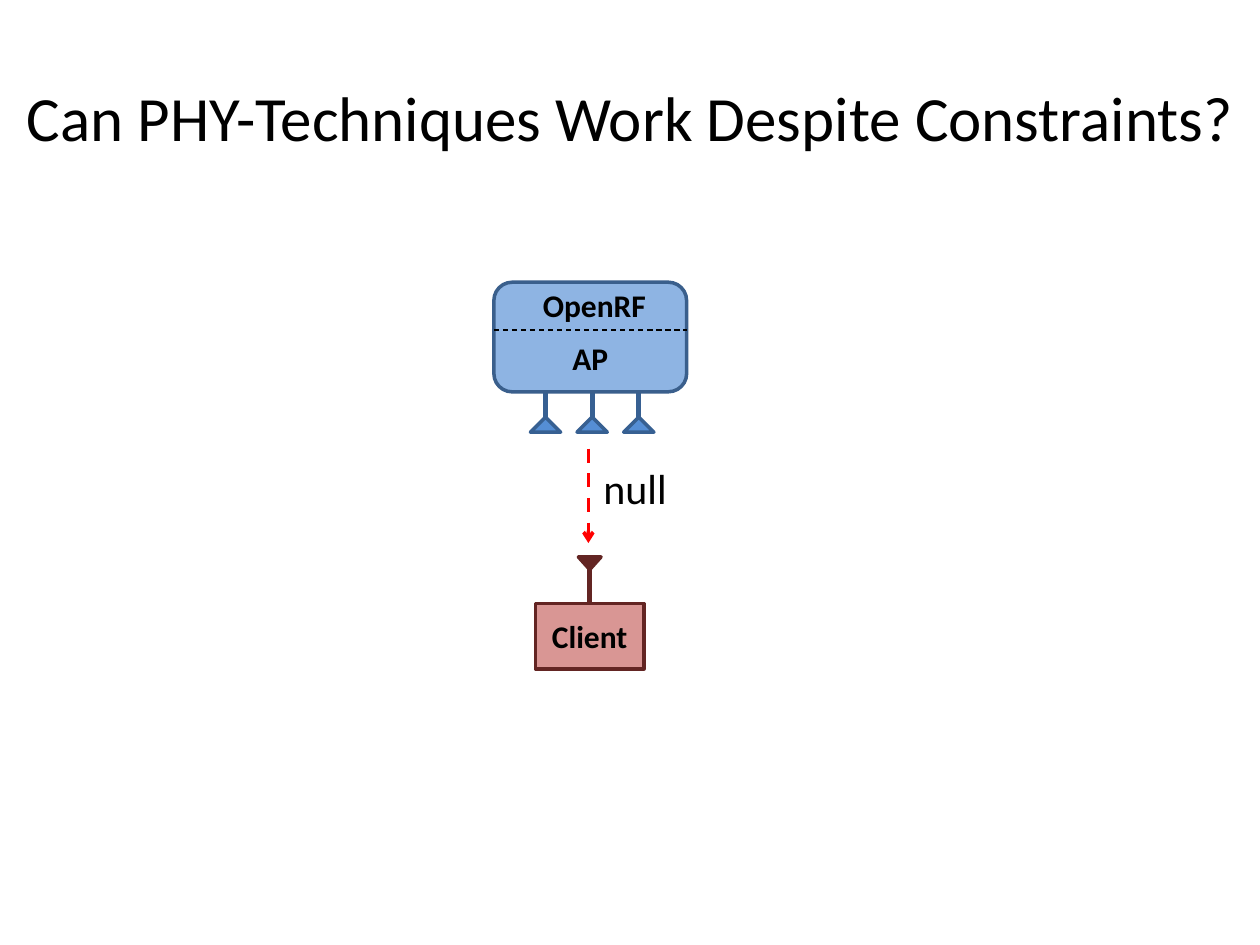
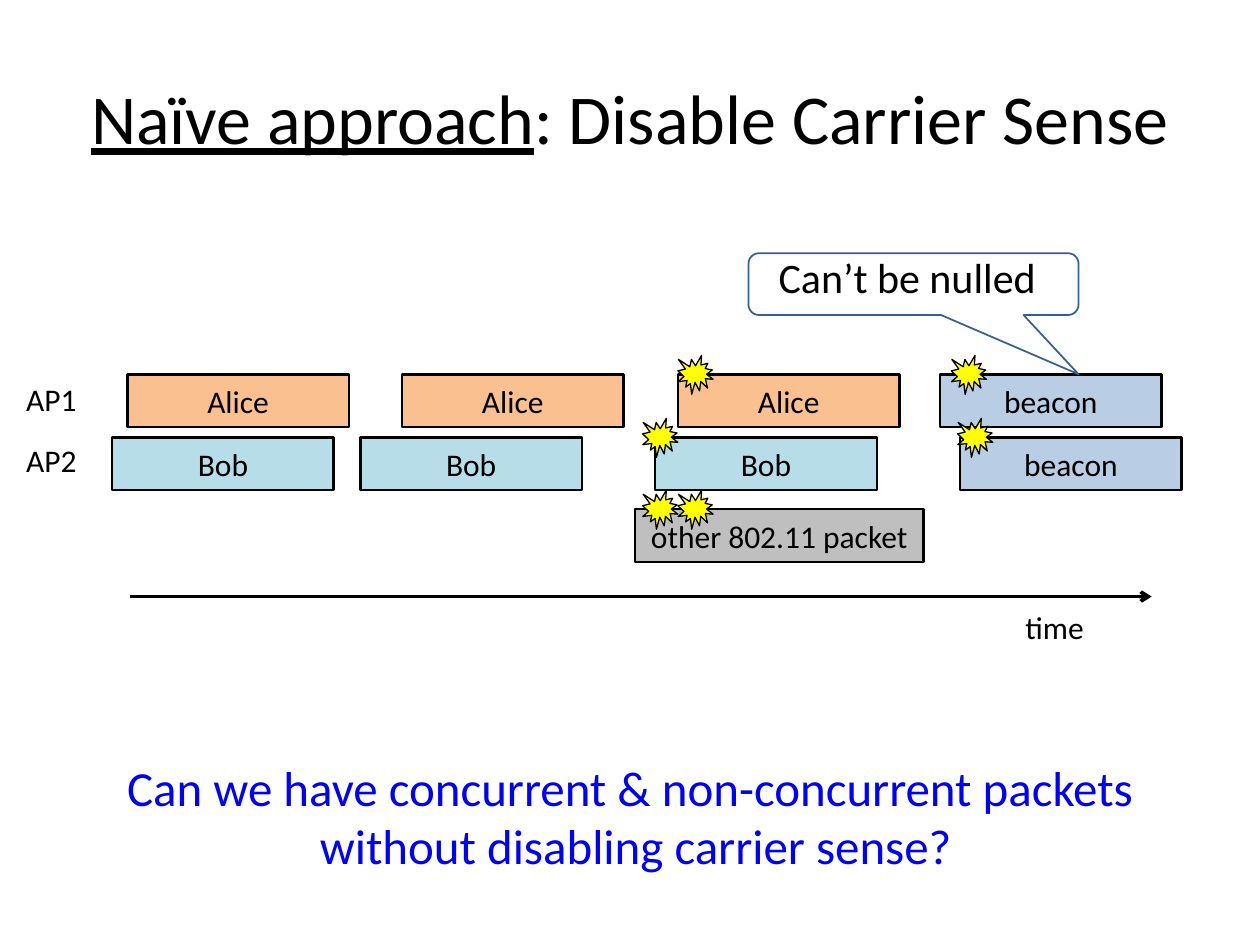
from dataclasses import dataclass

from lxml.etree import SubElement
from pptx import Presentation
from pptx.dml.color import RGBColor
from pptx.enum.dml import MSO_LINE
from pptx.enum.shapes import MSO_CONNECTOR, MSO_SHAPE
from pptx.enum.text import MSO_ANCHOR, MSO_AUTO_SIZE, PP_ALIGN
from pptx.oxml.ns import qn
from pptx.util import Inches, Pt

COLUMNS, ROWS = 40, 30
CELL = 0.25
FONT = "Calibri"
COLORS = {
    "text": "000000",
    "question": "0000FF",
    "signal": "FF0000",
    "access point": "8EB4E3",
    "access point edge": "3A5F8C",
    "antenna": "558ED5",
    "antenna edge": "376092",
    "client": "D99694",
    "client edge": "632523",
    "Alice": "FAC090",
    "Bob": "B7DEE8",
    "beacon": "B9CDE5",
    "other 802.11 packet": "BFBFBF",
    "collision": "FFFF00",
}


@dataclass
class Box:
    left: float
    top: float
    width: float
    height: float

    def area(self, left, top, width, height):
        return Box(self.left + left, self.top + top, width, height)

    def lengths(self):
        return [cells(value) for value in (self.left, self.top, self.width, self.height)]


def cells(count):
    return Inches(count * CELL)


def color(name):
    return RGBColor.from_string(COLORS[name])


def format_text(text_frame, size, name="text", bold=False, align=PP_ALIGN.CENTER):
    for paragraph in text_frame.paragraphs:
        paragraph.alignment = align
        for run in paragraph.runs:
            run.font.name = FONT
            run.font.size = Pt(size)
            run.font.bold = bold
            run.font.color.rgb = color(name)


def add_text(slide, box, text, size, name="text", bold=False, align=PP_ALIGN.LEFT, wrap=False):
    text_frame = slide.shapes.add_textbox(*box.lengths()).text_frame
    text_frame.text = text
    text_frame.word_wrap = wrap
    text_frame.auto_size = MSO_AUTO_SIZE.SHAPE_TO_FIT_TEXT
    format_text(text_frame, size, name, bold, align)


def add_title(slide, box, size, text, underlined=""):
    text_frame = slide.shapes.add_textbox(*box.lengths()).text_frame
    text_frame.word_wrap = True
    text_frame.vertical_anchor = MSO_ANCHOR.MIDDLE
    paragraph = text_frame.paragraphs[0]
    paragraph.text = underlined or text
    if underlined:
        paragraph.runs[0].font.underline = True
        paragraph.add_run().text = text
    format_text(text_frame, size)


def add_figure(slide, kind, box, fill, edge, weight, text="", bold=False):
    shape = slide.shapes.add_shape(kind, *box.lengths())
    shape.shadow.inherit = False
    if fill:
        shape.fill.solid()
        shape.fill.fore_color.rgb = color(fill)
    else:
        shape.fill.background()
    shape.line.color.rgb = color(edge)
    shape.line.width = Pt(weight)
    if text:
        text_frame = shape.text_frame
        text_frame.margin_left = text_frame.margin_right = 0
        text_frame.margin_top = text_frame.margin_bottom = 0
        text_frame.vertical_anchor = MSO_ANCHOR.MIDDLE
        text_frame.text = text
        format_text(text_frame, 18, bold=bold)
    return shape


def add_line(slide, box, name, weight, dashed=False, arrow=False):
    left, top, width, height = box.lengths()
    connector = slide.shapes.add_connector(
        MSO_CONNECTOR.STRAIGHT, left, top, left + width, top + height)
    connector.line.color.rgb = color(name)
    connector.line.width = Pt(weight)
    if dashed:
        connector.line.dash_style = MSO_LINE.DASH
    properties = connector._element.spPr
    if arrow:
        SubElement(properties.find(qn("a:ln")), qn("a:tailEnd"), type="arrow")
    SubElement(properties, qn("a:effectLst"))


def add_access_point(slide, box):
    antenna_pitch = 1.48
    for index in range(3):
        center = box.width / 2 + 0.06 + (index - 1) * antenna_pitch
        add_line(slide, box.area(center, box.height - 0.36, 0, 1.2), "antenna edge", 3)
        add_figure(slide, MSO_SHAPE.ISOSCELES_TRIANGLE,
                   box.area(center - 0.48, box.height + 0.8, 0.96, 0.48),
                   "antenna", "antenna edge", 2)
    add_figure(slide, MSO_SHAPE.ROUNDED_RECTANGLE, box,
               "access point", "access point edge", 2)
    add_text(slide, box.area(1.2, 1.6, 3.72, 1.6), "AP", 18, bold=True,
             align=PP_ALIGN.CENTER, wrap=True)
    add_text(slide, box.area(1.16, -0.08, 4.12, 1.6), "OpenRF", 18, bold=True)
    add_line(slide, box.area(0, 1.52, box.width, 0), "text", 0.75, dashed=True)


def add_client(slide, box):
    center = box.width / 2
    add_figure(slide, MSO_SHAPE.RECTANGLE, box, "client", "client edge", 2, "Client", True)
    antenna = add_figure(slide, MSO_SHAPE.ISOSCELES_TRIANGLE,
                         box.area(center - 0.36, -1.48, 0.72, 0.4),
                         "client edge", "client edge", 2)
    antenna.rotation = 180
    add_line(slide, box.area(center, -1.12, 0, 1.16), "client edge", 3)


def add_null_signal(slide, box):
    add_line(slide, box.area(0, 0, 0, box.height), "signal", 2, dashed=True, arrow=True)
    add_text(slide, box.area(0.08, 0.24, 2.84, 2), "null", 24)


def add_timeline(slide, box):
    packet_width, packet_height = 7.04, 1.68
    lanes = [
        (0, "AP1", [(4.04, "Alice"), (12.76, "Alice"), (21.52, "Alice"), (29.84, "beacon")],
         [21.52, 30.2]),
        (2, "AP2", [(3.56, "Bob"), (11.44, "Bob"), (20.8, "Bob"), (30.48, "beacon")],
         [20.4, 30.4]),
        (4.28, "", [(20.16, "other 802.11 packet")], [20.4, 21.52]),
    ]
    for top, label, packets, _ in lanes:
        if label:
            add_text(slide, box.area(0.44, top * 0.96, 2.44, 1.6), label, 18)
        for left, name in packets:
            width = packet_width if label else 9.16
            add_figure(slide, MSO_SHAPE.RECTANGLE, box.area(left, top, width, packet_height),
                       name, "text", 1.5, name)
    for top, _, _, collisions in lanes:
        for left in collisions:
            add_figure(slide, MSO_SHAPE.EXPLOSION1, box.area(left, top - 0.6, 1.12, 1.24),
                       "collision", "text", 0.75)
    add_line(slide, box.area(4.12, box.height, 32.44, 0), "text", 2, arrow=True)
    add_text(slide, box.area(32.16, box.height + 0.18, 4.04, 1.6), "time", 18, wrap=True)


def add_callout(slide, box):
    callout = add_figure(slide, MSO_SHAPE.ROUNDED_RECTANGULAR_CALLOUT, box,
                         None, "antenna edge", 1)
    for index, value in enumerate((0.5, 1.46, 0.17)):
        callout.adjustments[index] = value
    add_text(slide, box.area(0, -0.24, box.width - 0.4, 2), "Can’t be nulled", 24,
             align=PP_ALIGN.CENTER, wrap=True)


def build_constraints_slide(slide, box):
    add_title(slide, box.area(0, 1.2, box.width, 5), 36,
              "Can PHY-Techniques Work Despite Constraints?")
    add_null_signal(slide, box.area(18.68, 14.24, 3, 3))
    add_client(slide, box.area(17, 19.16, 3.44, 2.08))
    add_access_point(slide, box.area(15.68, 8.96, 6.12, 3.48))


def build_carrier_sense_slide(slide, box):
    add_title(slide, box.area(2, 1.2, box.width - 4, 5), 40,
              ": Disable Carrier Sense", "Naïve approach")
    add_timeline(slide, box.area(0, 11.88, box.width, 7.06))
    add_text(slide, box.area(3.52, 23.84, 33.32, 4.16),
             "Can we have concurrent & non-concurrent packets \nwithout disabling carrier sense?",
             28, "question", align=PP_ALIGN.CENTER)
    add_callout(slide, box.area(23.76, 8.04, 10.48, 1.96))


def main():
    presentation = Presentation()
    presentation.slide_width = cells(COLUMNS)
    presentation.slide_height = cells(ROWS)
    page = Box(0, 0, COLUMNS, ROWS)
    for build in (build_constraints_slide, build_carrier_sense_slide):
        build(presentation.slides.add_slide(presentation.slide_layouts[6]), page)
    presentation.save("out.pptx")


if __name__ == "__main__":
    main()
